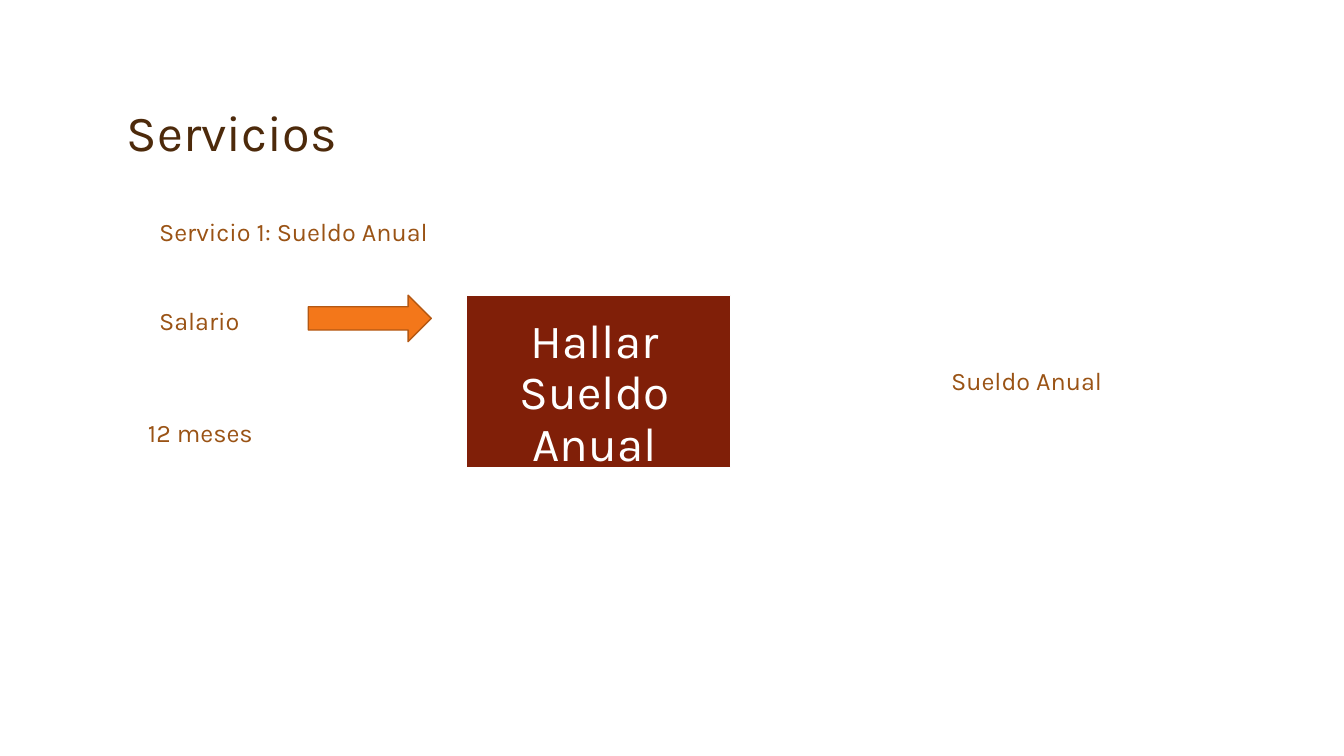
import pptx
import pptx.util
import pptx.dml.color
import pptx.enum.shapes
import pptx.enum.text

Cm = pptx.util.Cm
Pt = pptx.util.Pt
Shape = pptx.enum.shapes.MSO_SHAPE
Anchor = pptx.enum.text.MSO_ANCHOR
Align = pptx.enum.text.PP_ALIGN

BROWN = "9A5315"
LABEL = {"name": "Karla", "size": Pt(18)}


def tint(code):
    """Turn a hex string into a colour."""
    return pptx.dml.color.RGBColor.from_string(code)


def write(slide, box, text, color, font, frame=None, para=None):
    """Put one line of styled text into the box, given in centimetres."""
    body = slide.shapes.add_textbox(*map(Cm, box)).text_frame
    line = body.paragraphs[0]
    line.text = text
    line.font.color.rgb = tint(color)
    styles = (
        (body, {"word_wrap": True, **(frame or {})}),
        (line, para or {}),
        (line.font, font),
    )
    for part, values in styles:
        for key, value in values.items():
            setattr(part, key, value)


def draw(slide, kind, box, fill, edge):
    """Draw a filled and outlined shape in the box."""
    shape = slide.shapes.add_shape(kind, *map(Cm, box))
    shape.shadow.inherit = False
    shape.fill.solid()
    shape.fill.fore_color.rgb = tint(fill)
    shape.line.color.rgb = tint(edge)
    shape.line.width = Pt(1)


def head(slide, box):
    """Write the slide title at the foot of its box."""
    write(slide, box, "Servicios", "4D2A0B", {"name": "Karla", "size": Pt(36)},
          {"vertical_anchor": Anchor.BOTTOM}, {"line_spacing": 0.9})


def process(slide, box):
    """Draw the process block with its caption slightly offset."""
    left, top, width, height = box
    draw(slide, Shape.RECTANGLE, box, "801F08", "FFFFFF")
    sides = ("left", "top", "right", "bottom")
    frame = {f"margin_{side}": Cm(0.36) for side in sides}
    frame["vertical_anchor"] = Anchor.MIDDLE
    write(slide, (left - 0.1, top + 0.33, width, height), "Hallar Sueldo Anual",
          "FFFFFF", {"name": "Karla", "size": Pt(34)}, frame,
          {"alignment": Align.CENTER, "line_spacing": 0.9})


def service(slide, box):
    """Lay out the service name, inputs, process and result."""
    left, top, width, height = box
    labels = (
        ("Servicio 1: Sueldo Anual", 0.28, 0, 8.41),
        ("Salario", 0.28, 2.24, 2.74),
        ("12 meses", 0, 5.05, 3.58),
        ("Sueldo Anual", width - 4.75, 3.76, 4.75),
    )
    for text, dx, dy, wide in labels:
        write(slide, (left + dx, top + dy, wide, 1.02), text, BROWN, LABEL)
    draw(slide, Shape.RIGHT_ARROW, (left + 4.29, top + 2.11, 3.1, 1.17),
         "F3771A", "B45813")
    process(slide, (left + 8.28, top + 2.11, 6.65, height - 2.11))


def main():
    """Build the slide and save it."""
    deck = pptx.Presentation()
    deck.slide_width, deck.slide_height = Cm(33.87), Cm(19.05)
    slide = deck.slides.add_slide(deck.slide_layouts[6])
    head(slide, (2.95, 0.84, 27.94, 3.38))
    service(slide, (3.48, 5.33, 24.99, 6.45))
    deck.save("out.pptx")


if __name__ == "__main__":
    main()
